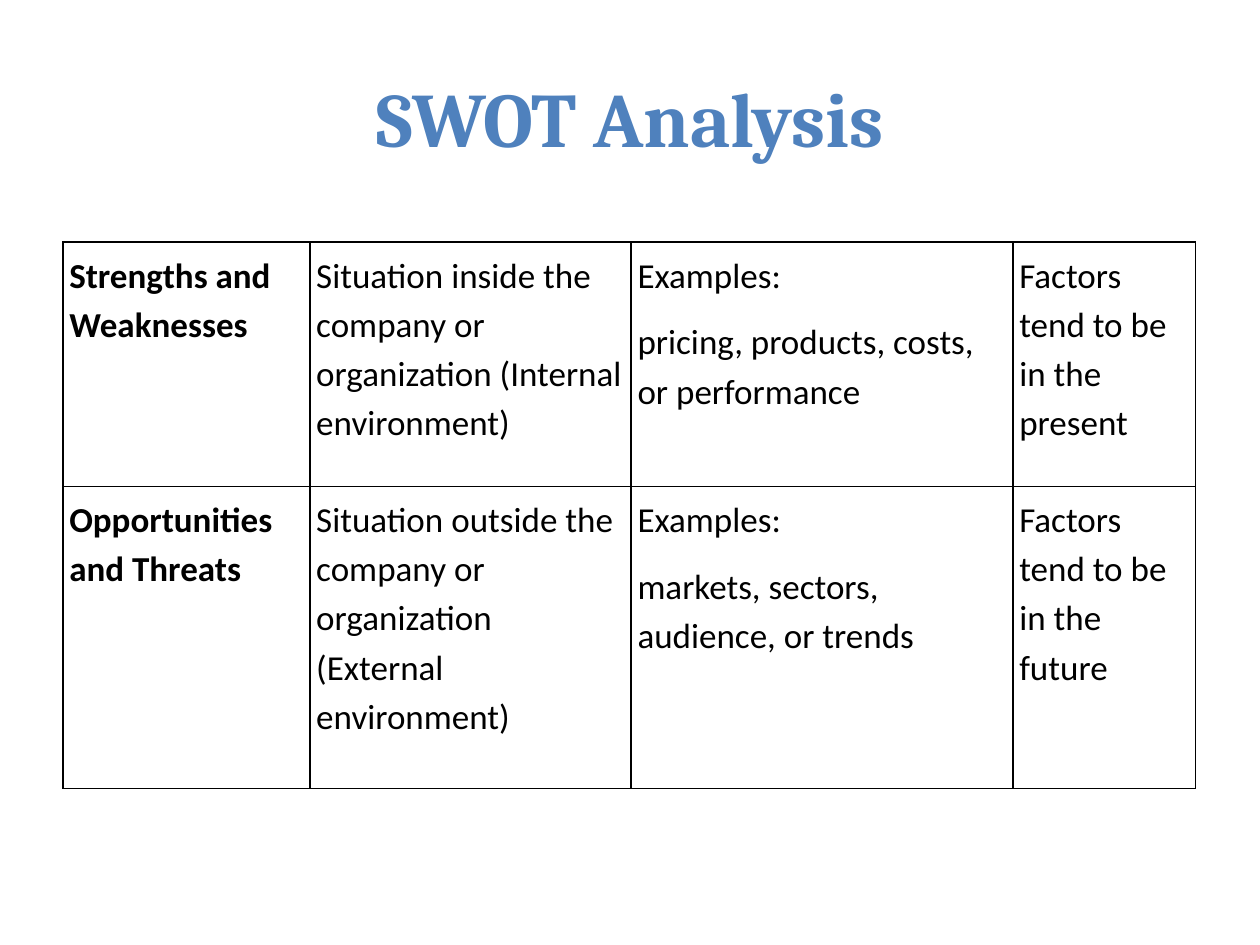
"""Build a one-slide SWOT analysis with a title and a bordered table."""
from lxml.etree import SubElement
from pptx import Presentation
from pptx.dml.color import RGBColor as Color
from pptx.enum.text import MSO_ANCHOR as Anchor, PP_ALIGN as Align
from pptx.oxml.ns import qn
from pptx.util import Inches, Pt

TITLE = "SWOT Analysis"
ROWS = [
    [
        ["Strengths and Weaknesses"],
        ["Situation inside the company or organization (Internal environment)"],
        ["Examples:", "pricing, products, costs, or performance"],
        ["Factors tend to be in the present"],
    ],
    [
        ["Opportunities and Threats"],
        ["Situation outside the company or organization (External environment)"],
        ["Examples:", "markets, sectors, audience, or trends"],
        ["Factors tend to be in the future"],
    ],
]
COLORS = {"title": "4F81BD", "text": "000000", "border": "000000", "paper": "FFFFFF"}
WIDTH, HEIGHT = 10, 7.5
MARGIN = 0.05 * WIDTH
TITLE_TOP, TITLE_HEIGHT = 0.3, 1.25
TABLE_TOP = 1.92
COLUMN_WIDTHS = [1.96, 2.55, 3.03, 1.45]
ROW_HEIGHTS = [1.94, 2.4]
INSET = 0.05


def add_span(para, text, font, size, color, bold):
    span = para.add_run()
    span.text = text
    span.font.name = font
    span.font.size = Pt(size)
    span.font.bold = bold
    span.font.color.rgb = Color.from_string(COLORS[color])


def add_borders(cell):
    properties = cell._tc.get_or_add_tcPr()
    for position, side in enumerate(("lnL", "lnR", "lnT", "lnB")):
        line = SubElement(properties, qn(f"a:{side}"), w=str(Pt(1)))
        fill = SubElement(line, qn("a:solidFill"))
        SubElement(fill, qn("a:srgbClr"), val=COLORS["border"])
        properties.insert(position, line)


def fill_cell(cell, lines, bold):
    cell.margin_left = cell.margin_right = Inches(INSET)
    cell.margin_top = cell.margin_bottom = Inches(INSET)
    cell.vertical_anchor = Anchor.TOP
    cell.fill.background()
    add_borders(cell)
    frame = cell.text_frame
    for index, line in enumerate(lines):
        para = frame.add_paragraph() if index else frame.paragraphs[0]
        para.alignment = Align.LEFT
        para.line_spacing = 1.15
        para.space_after = Pt(10)
        add_span(para, line, "Calibri", 20, "text", bold)


def add_title(page):
    box = page.shapes.title
    box.left, box.top = Inches(MARGIN), Inches(TITLE_TOP)
    box.width, box.height = Inches(WIDTH - 2 * MARGIN), Inches(TITLE_HEIGHT)
    box.text_frame.vertical_anchor = Anchor.MIDDLE
    para = box.text_frame.paragraphs[0]
    para.alignment = Align.CENTER
    add_span(para, TITLE, "Cambria", 44, "title", True)


def add_swot_table(page):
    table = page.shapes.add_table(
        len(ROWS), len(COLUMN_WIDTHS), Inches(MARGIN), Inches(TABLE_TOP),
        Inches(sum(COLUMN_WIDTHS)), Inches(sum(ROW_HEIGHTS)),
    ).table
    table.first_row = table.horz_banding = False
    for column, width in zip(table.columns, COLUMN_WIDTHS):
        column.width = Inches(width)
    for row, height, contents in zip(table.rows, ROW_HEIGHTS, ROWS):
        row.height = Inches(height)
        for index, (cell, lines) in enumerate(zip(row.cells, contents)):
            fill_cell(cell, lines, bold=index == 0)


def main():
    deck = Presentation()
    deck.slide_width, deck.slide_height = Inches(WIDTH), Inches(HEIGHT)
    page = deck.slides.add_slide(deck.slide_layouts[5])
    page.background.fill.solid()
    page.background.fill.fore_color.rgb = Color.from_string(COLORS["paper"])
    add_title(page)
    add_swot_table(page)
    deck.save("out.pptx")


if __name__ == "__main__":
    main()
